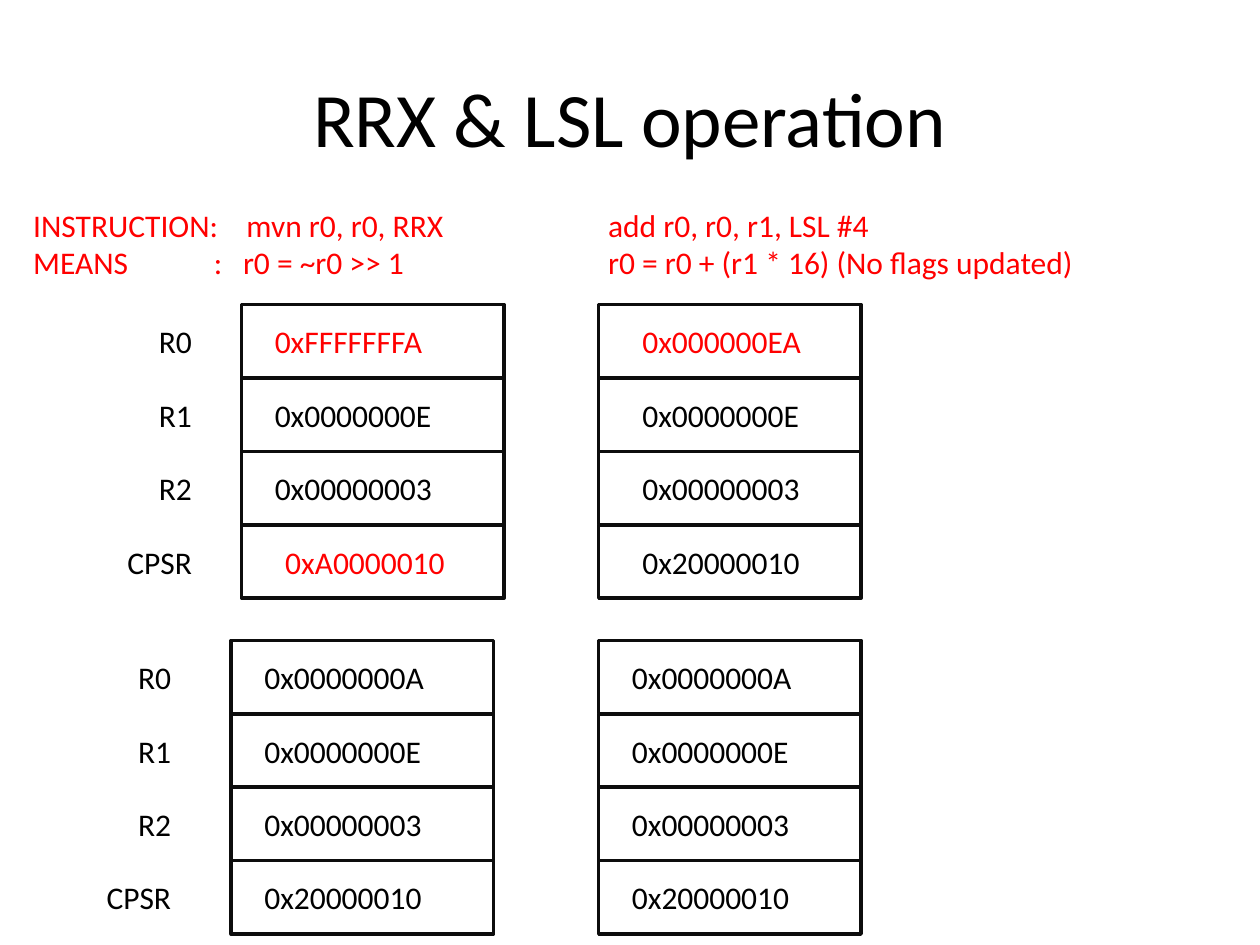
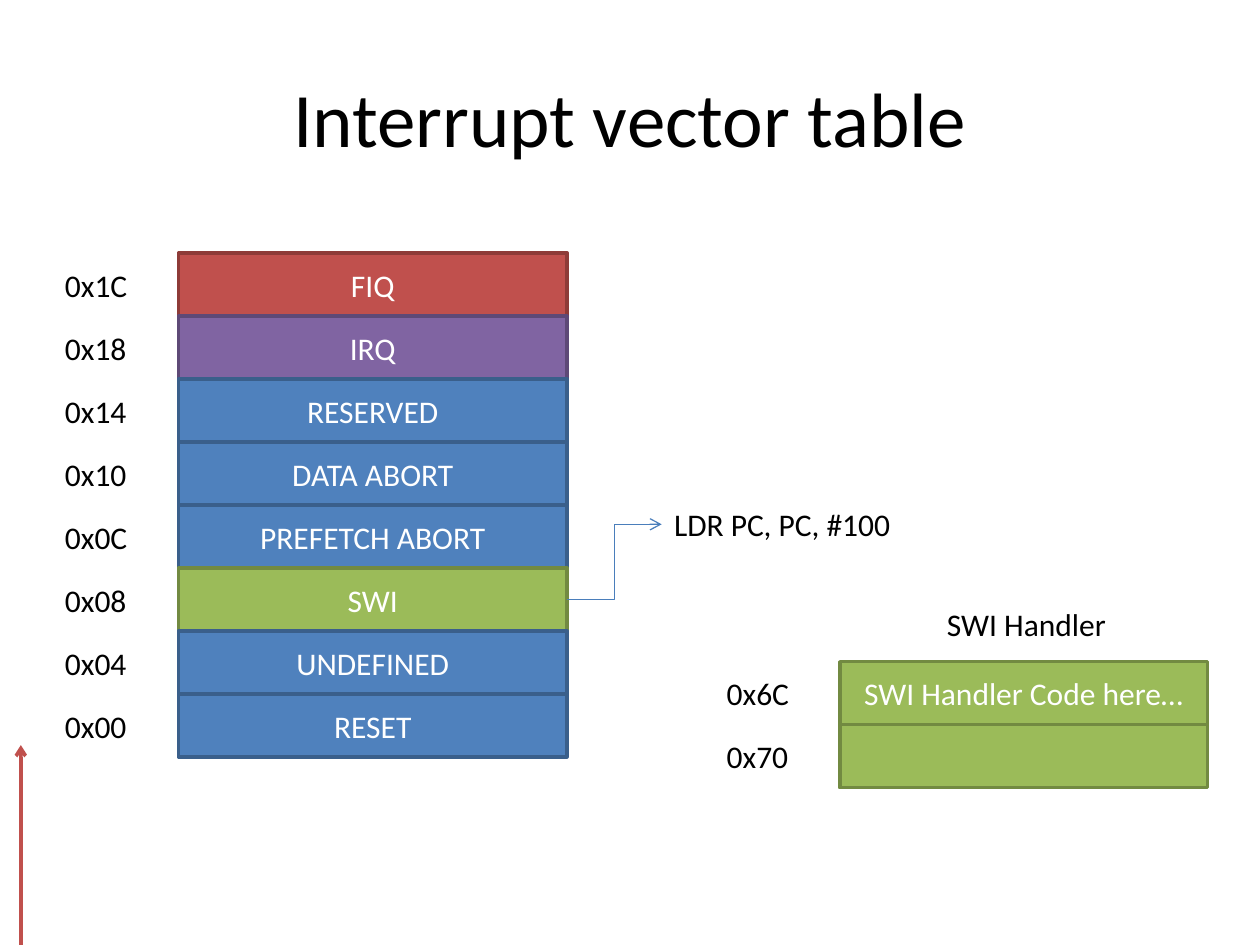
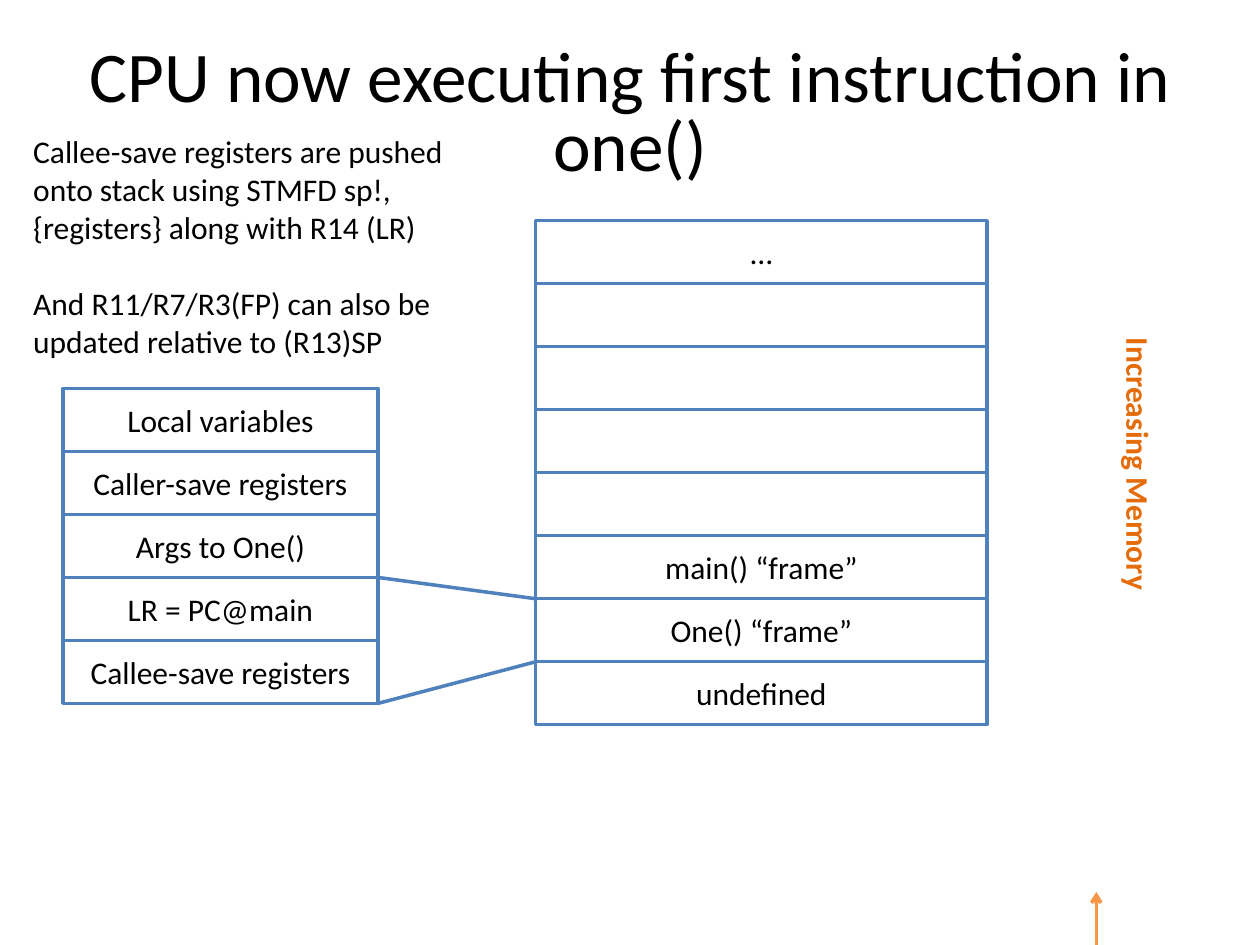
import pptx
import pptx.util
import pptx.dml.color
import pptx.enum.shapes
import pptx.enum.text
import pptx.oxml
from pptx.oxml.ns import qn
from pptx.util import Cm, Pt

ALIGN = pptx.enum.text.PP_ALIGN
ANCHOR = pptx.enum.text.MSO_ANCHOR
CONNECTOR = pptx.enum.shapes.MSO_CONNECTOR

# Shared look
FONT = "Calibri"
COLOURS = {
    "black": "000000", "white": "FFFFFF", "ink": "0D0D0D", "red": "FF0000",
    "blue": "4F81BD", "dark blue": "3A5F8B", "link blue": "4A7EBB",
    "green": "9BBB59", "dark green": "728A41",
    "purple": "8064A2", "dark purple": "5E4977",
    "brick": "C0504D", "dark brick": "8E3B38",
    "orange": "F79646", "dark orange": "E46C0A",
}
# Cell style: fill, outline, text
STYLES = {
    "plain": (None, "ink", "black"),
    "changed": (None, "ink", "red"),
    "vector": ("blue", "dark blue", "white"),
    "swi": ("green", "dark green", "white"),
    "irq": ("purple", "dark purple", "white"),
    "fiq": ("brick", "dark brick", "white"),
    "frame": ("white", "blue", "black"),
}
SLIDE_WIDTH, SLIDE_HEIGHT = 25.4, 19.05
REGISTER_HEIGHT, CELL_HEIGHT = 1.48, 1.27

# Slide 1: registers, with text and tab stops of the instruction lines
REGISTERS = ["R0", "R1", "R2", "CPSR"]
INSTRUCTIONS = [
    ("INSTRUCTION:\tmvn r0, r0, RRX\tadd r0, r0, r1, LSL #4", [4.3, 11.59]),
    ("MEANS\t:\tr0 = ~r0 >> 1\tr0 = r0 + (r1 * 16) (No flags updated)",
     [3.64, 4.23, 11.59]),
]
START_VALUES = [("0x0000000A", "plain"), ("0x0000000E", "plain"),
                ("0x00000003", "plain"), ("0x20000010", "plain")]
RRX_VALUES = [("0xFFFFFFFA", "changed"), *START_VALUES[1:3], ("0xA0000010", "changed", 0.88)]
LSL_VALUES = [("0x000000EA", "changed"), *START_VALUES[1:]]
# Values, left, top, text inset, right edge of the register names
REGISTER_BANKS = [
    (RRX_VALUES, 4.87, 6.14, 0.67, 4.12),
    (LSL_VALUES, 12.07, 6.14, 0.88, None),
    (START_VALUES, 4.66, 12.91, 0.67, 3.7),
    (START_VALUES, 12.07, 12.91, 0.67, None),
]

# Slide 2: vectors from the highest address down
VECTORS = [("FIQ", "fiq"), ("IRQ", "irq"), ("RESERVED", "vector"),
           ("DATA ABORT", "vector"), ("PREFETCH ABORT", "vector"),
           ("SWI", "swi"), ("UNDEFINED", "vector"), ("RESET", "vector")]
VECTOR_ADDRESSES = ["0x1C", "0x18", "0x14", "0x10", "0x0C", "0x08", "0x04", "0x00"]
HANDLER = [("SWI Handler Code here…", "swi"), ("", "swi")]
HANDLER_ADDRESSES = ["0x6C", "0x70"]

# Slide 3: stack and the detail of one frame
STACK = ["…", "", "", "", "", "main() “frame”", "One() “frame”", "undefined"]
FRAME = ["Local variables", "Caller-save registers", "Args to One()",
         "LR = PC@main", "Callee-save registers"]
NOTES = [
    "Callee-save registers are pushed onto stack using STMFD sp!,{registers} along with R14 (LR)",
    "And R11/R7/R3(FP) can also be updated relative to (R13)SP",
]


def colour(name):
    return pptx.dml.color.RGBColor.from_string(COLOURS[name])


def write(shape, paragraphs, colour_name="black", size=18, align=ALIGN.LEFT,
          anchor=ANCHOR.MIDDLE, bold=False):
    frame = shape.text_frame
    frame.word_wrap = True
    frame.vertical_anchor = anchor
    frame.text = "\n".join(paragraphs)
    for paragraph in frame.paragraphs:
        paragraph.alignment = align
        for run in paragraph.runs:
            run.font.name = FONT
            run.font.size = Pt(size)
            run.font.bold = bold
            run.font.color.rgb = colour(colour_name)


def add_text(slide, paragraphs, left, top, width, height, **look):
    box = slide.shapes.add_textbox(Cm(left), Cm(top), Cm(width), Cm(height))
    write(box, paragraphs, **look)
    return box


def add_cell(slide, text, style, left, top, width, height, inset=None):
    """A rectangle; its text is centred unless a left inset is given."""
    fill, outline, text_colour = STYLES[style]
    cell = slide.shapes.add_shape(pptx.enum.shapes.MSO_SHAPE.RECTANGLE,
                                  Cm(left), Cm(top), Cm(width), Cm(height))
    cell.shadow.inherit = False
    if fill:
        cell.fill.solid()
        cell.fill.fore_color.rgb = colour(fill)
    else:
        cell.fill.background()
    cell.line.color.rgb = colour(outline)
    cell.line.width = Pt(2)
    if text:
        write(cell, [text], text_colour, align=ALIGN.LEFT if inset else ALIGN.CENTER)
    if inset:
        cell.text_frame.margin_left = Cm(inset)
    return cell


def add_stack(slide, rows, left, top, width, height=CELL_HEIGHT, inset=None):
    return [add_cell(slide, text, style, left, top + index * height, width, height,
                     *(own_inset or [inset]))
            for index, (text, style, *own_inset) in enumerate(rows)]


def add_labels(slide, labels, left, top, width, height=CELL_HEIGHT, align=ALIGN.LEFT):
    for index, label in enumerate(labels):
        add_text(slide, [label], left, top + index * height, width, height, align=align)


def add_line(slide, start, end, colour_name, weight=2, arrow=False,
             kind=CONNECTOR.STRAIGHT):
    line = slide.shapes.add_connector(kind, *(Cm(value) for value in (*start, *end)))
    line.line.color.rgb = colour(colour_name)
    line.line.width = Pt(weight)
    properties = line._element.spPr
    if arrow:
        tail = pptx.oxml.parse_xml(
            '<a:tailEnd xmlns:a="http://schemas.openxmlformats.org/drawingml/2006/main"'
            ' type="arrow"/>')
        properties.find(qn("a:ln")).append(tail)
    properties.append(properties.makeelement(qn("a:effectLst"), {}))
    return line


def set_tabs(paragraph, stops):
    properties = paragraph._p.get_or_add_pPr()
    tabs = properties.makeelement(qn("a:tabLst"), {})
    for stop in stops:
        tabs.append(tabs.makeelement(qn("a:tab"), {"pos": str(Cm(stop)), "algn": "l"}))
    properties.append(tabs)


def add_slide(presentation, title, size=44, line_spacing=None):
    slide = presentation.slides.add_slide(presentation.slide_layouts[6])
    box = add_text(slide, [title], 1.27, 0.76, 22.86, 3.18, size=size, align=ALIGN.CENTER)
    if line_spacing:
        box.text_frame.paragraphs[0].line_spacing = line_spacing
    return slide


def build_registers(presentation):
    slide = add_slide(presentation, "RRX & LSL operation")
    box = add_text(slide, [text for text, _ in INSTRUCTIONS], 0.42, 4.02, 23.7, 1.8,
                   colour_name="red", anchor=ANCHOR.TOP)
    for paragraph, (_, stops) in zip(box.text_frame.paragraphs, INSTRUCTIONS):
        set_tabs(paragraph, stops)
    for values, left, top, inset, names_right in REGISTER_BANKS:
        add_stack(slide, values, left, top, 5.29, REGISTER_HEIGHT, inset)
        if names_right:
            add_labels(slide, REGISTERS, names_right - 2.2, top, 2.2, REGISTER_HEIGHT,
                       ALIGN.RIGHT)


def build_vectors(presentation):
    slide = add_slide(presentation, "Interrupt vector table")
    # Vector table and the handler code
    cells = add_stack(slide, VECTORS, 3.6, 5.1, 7.83)
    add_labels(slide, VECTOR_ADDRESSES, 1.06, 5.1, 2.12)
    add_stack(slide, HANDLER, 16.93, 13.34, 7.41)
    add_labels(slide, HANDLER_ADDRESSES, 14.4, 13.34, 2.12)
    add_text(slide, ["SWI Handler"], 18.84, 12.07, 3.81, 1.02)
    # Jump from the SWI vector
    jump = add_text(slide, ["LDR PC, PC, #100"], 13.34, 10.06, 8.04, 1.02)
    link = add_line(slide, (11.43, 12.07), (13.34, 10.57), "link blue", 0.75, True,
                    CONNECTOR.ELBOW)
    link.begin_connect(cells[5], 3)
    link.end_connect(jump, 1)
    # Direction of increasing addresses
    add_line(slide, (0.42, SLIDE_HEIGHT), (0.42, 15.02), "brick", arrow=True)


def build_stack(presentation):
    slide = add_slide(presentation, "CPU now executing first instruction in one()", 40.7, 0.8)
    # Stack, and the frame of One() shown in detail
    stack_left, stack_top, frame_left, frame_top, frame_width = 10.8, 4.45, 1.27, 7.83, 6.35
    add_stack(slide, [(text, "frame") for text in STACK], stack_left, stack_top, 9.1)
    add_stack(slide, [(text, "frame") for text in FRAME], frame_left, frame_top, frame_width)
    for stack_row, frame_row in ((6, 3), (7, 5)):
        add_line(slide, (stack_left, stack_top + stack_row * CELL_HEIGHT),
                 (frame_left + frame_width, frame_top + frame_row * CELL_HEIGHT), "blue")
    # Notes
    notes = add_text(slide, NOTES, 0.42, 2.54, 9.95, 4.83, anchor=ANCHOR.TOP)
    notes.text_frame.paragraphs[1].space_before = Pt(22)
    # Direction of increasing addresses
    add_line(slide, (22.1, SLIDE_HEIGHT), (22.1, 17.98), "orange", arrow=True)
    direction = add_text(slide, ["Increasing Memory"], 19.15, 9.86, 7.62, 1.02,
                         colour_name="dark orange", bold=True)
    direction.rotation = 90


def main():
    presentation = pptx.Presentation()
    presentation.slide_width = Cm(SLIDE_WIDTH)
    presentation.slide_height = Cm(SLIDE_HEIGHT)
    build_registers(presentation)
    build_vectors(presentation)
    build_stack(presentation)
    presentation.save("out.pptx")


if __name__ == "__main__":
    main()
